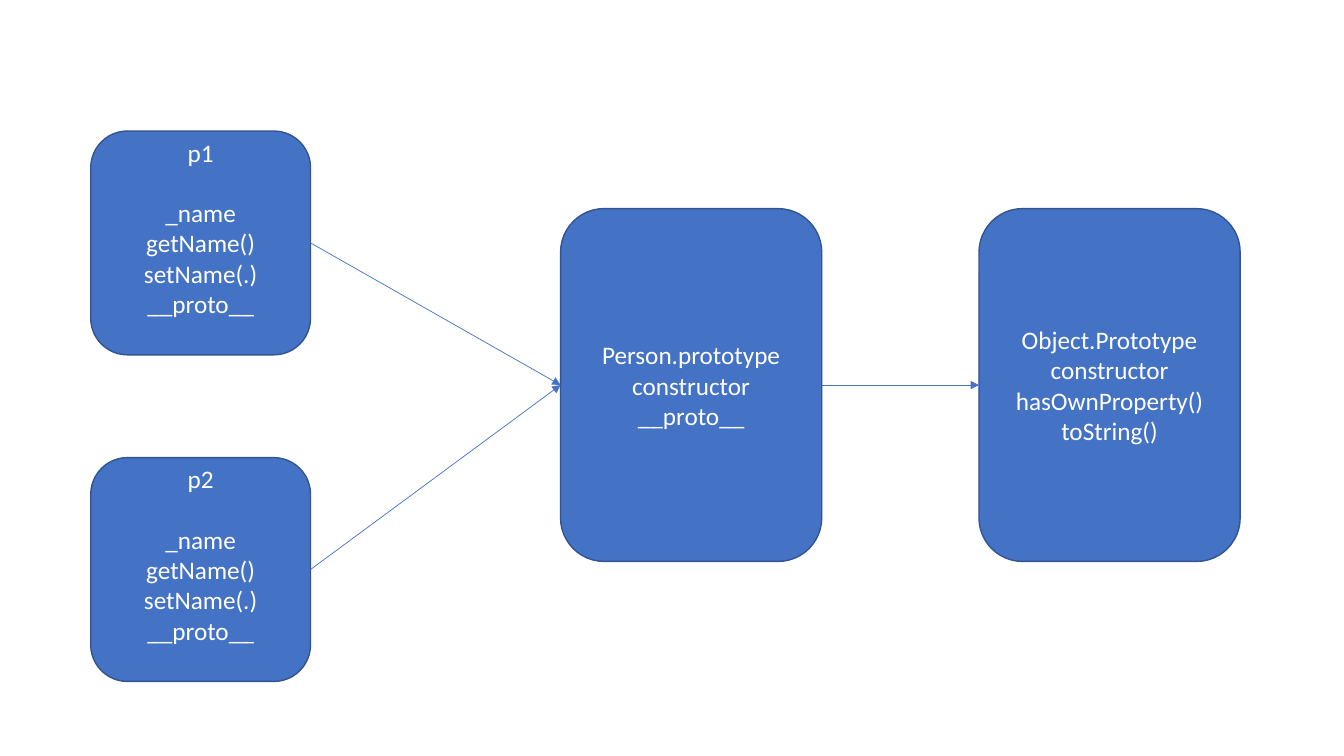
from lxml import etree
from pptx import Presentation
from pptx import util as u
from pptx.dml.color import RGBColor
from pptx.enum import shapes, text
from pptx.oxml.ns import qn

BLUE, OUTLINE, WHITE = "4472C4", "325491", "FFFFFF"
LINE_PITCH = 21.5  # points from one 18 pt line to the next
LEFT, RIGHT = 1, 3  # connection sites

INSTANCE_SIZE = (2.18, 2.22)
PROTOTYPE_SIZE = (2.59, 3.5)
INSTANCE_X, PERSON_X, OBJECT_X = 0.9, 5.56, 9.71
INSTANCE_TOP, INSTANCE_STEP = 1.3, 3.24
PROTOTYPE_TOP = 2.07
MEMBERS = ["_name", "getName()", "setName(.)", "__proto__"]


def color(hex_string):
    return RGBColor.from_string(hex_string)


def add_box(s, x, y, size, lines):
    sp = s.shapes.add_shape(shapes.MSO_SHAPE.ROUNDED_RECTANGLE,
                            *(u.Inches(v) for v in (x, y, *size)))
    sp.shadow.inherit = False
    sp.fill.solid()
    sp.fill.fore_color.rgb = color(BLUE)
    sp.line.color.rgb = color(OUTLINE)
    sp.line.width = u.Pt(1)
    tf = sp.text_frame
    tf.word_wrap = True
    tf.vertical_anchor = text.MSO_ANCHOR.MIDDLE
    for i, line in enumerate(lines):
        p = tf.add_paragraph() if i else tf.paragraphs[0]
        p.alignment = text.PP_ALIGN.CENTER
        r = p.add_run()
        r.text = line
        r.font.size = u.Pt(18)
        r.font.name = "Calibri"
        r.font.color.rgb = color(WHITE)
    return sp


def add_instance(s, row, name):
    """Add an object box: its name, a one-line gap, then its members."""
    sp = add_box(s, INSTANCE_X, INSTANCE_TOP + row * INSTANCE_STEP,
                 INSTANCE_SIZE, [name, *MEMBERS])
    tf = sp.text_frame
    tf.paragraphs[1].space_before = u.Pt(LINE_PITCH)
    tf.margin_bottom += u.Pt(LINE_PITCH)
    return sp


def add_arrow(s, source, target):
    """Join the right side of source to the left side of target."""
    c = s.shapes.add_connector(shapes.MSO_CONNECTOR.STRAIGHT, 0, 0, 0, 0)
    c.begin_connect(source, RIGHT)
    c.end_connect(target, LEFT)
    c.line.color.rgb = color(BLUE)
    c.line.width = u.Pt(0.5)
    etree.SubElement(c.line._get_or_add_ln(), qn("a:tailEnd"), type="triangle")
    etree.SubElement(c._element.spPr, qn("a:effectLst"))


def main():
    prs = Presentation()
    prs.slide_width, prs.slide_height = u.Inches(13.33), u.Inches(7.5)
    s = prs.slides.add_slide(prs.slide_layouts[6])

    object_proto = add_box(
        s, OBJECT_X, PROTOTYPE_TOP, PROTOTYPE_SIZE,
        ["Object.Prototype", "constructor", "hasOwnProperty()", "toString()"])
    person_proto = add_box(
        s, PERSON_X, PROTOTYPE_TOP, PROTOTYPE_SIZE,
        ["Person.prototype", "constructor", "__proto__"])
    add_arrow(s, person_proto, object_proto)
    for row, name in enumerate(["p1", "p2"]):
        add_arrow(s, add_instance(s, row, name), person_proto)

    prs.save("out.pptx")


if __name__ == "__main__":
    main()
